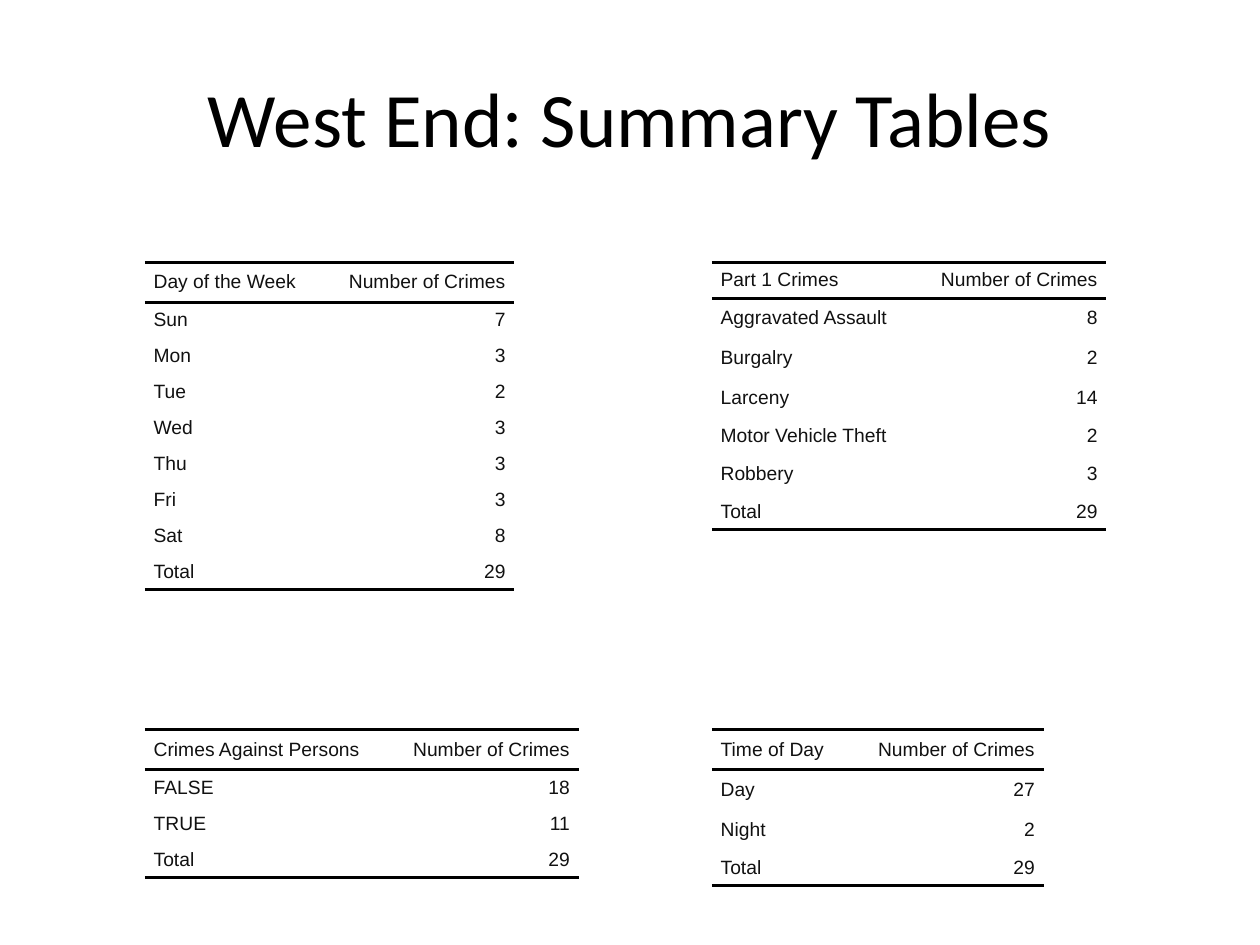
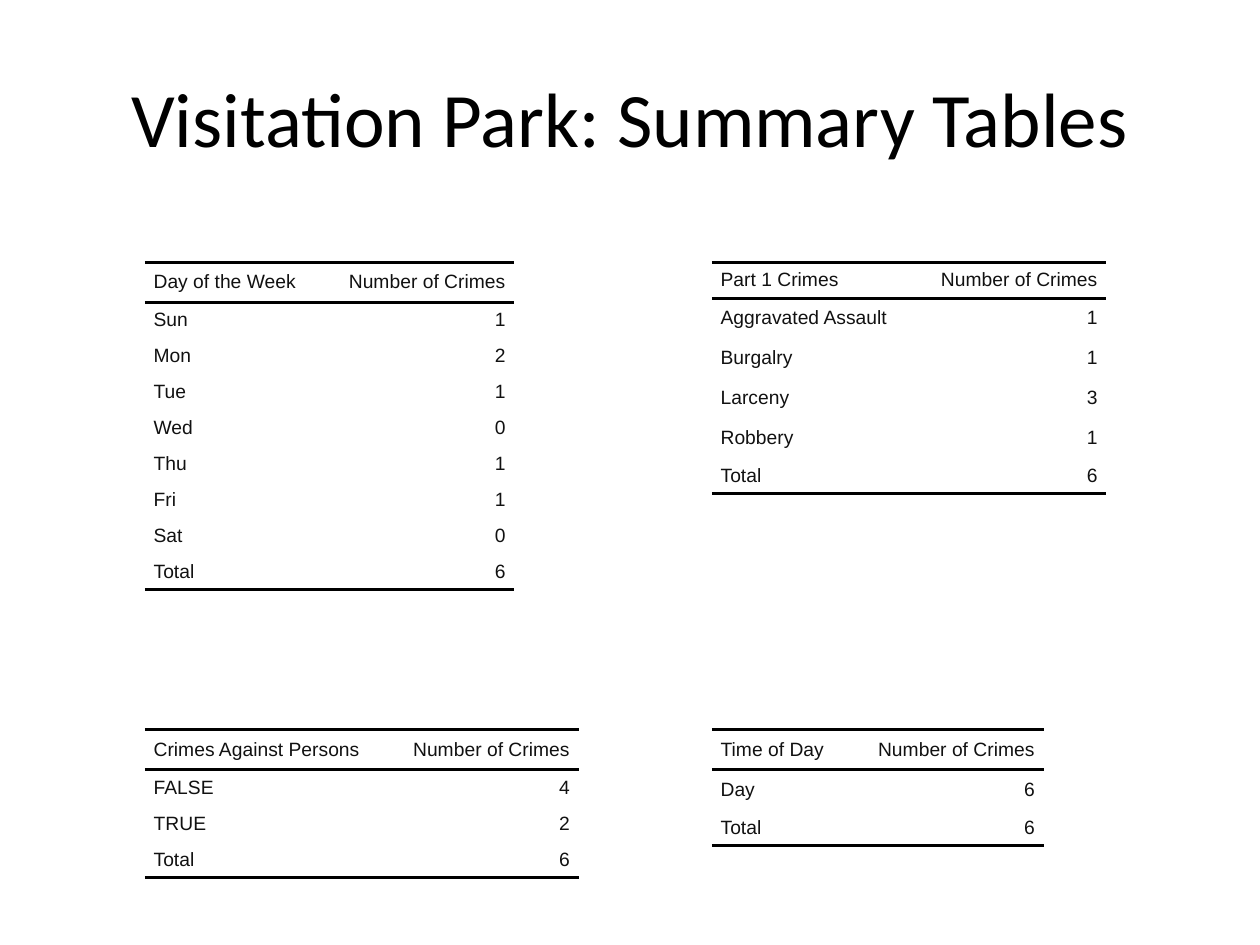
from dataclasses import dataclass

from lxml.etree import SubElement
from pptx import Presentation
from pptx.dml.color import RGBColor
from pptx.enum.text import MSO_ANCHOR, PP_ALIGN
from pptx.oxml.ns import qn
from pptx.util import Pt


@dataclass(frozen=True)
class Theme:
    title_font: str = "Calibri"
    table_font: str = "Arial"
    title_size: float = 44
    table_size: float = 11
    title_color: str = "000000"
    table_color: str = "111111"
    rule_color: str = "000000"
    rule_width: float = 2
    short_row: float = 20.57
    tall_row: float = 22.86
    value_width: float = 109.44
    cell_margin: float = 5


THEME = Theme()
TITLE_BOX = (36, 21.6, 648, 90)
LEFT, RIGHT = 82.8, 406.8
UPPER, LOWER = 149.76, 416.88
VALUE_HEADING = "Number of Crimes"
TABLE_PLACES = {
    "Part 1 Crimes": (RIGHT, UPPER, 116),
    "Day of the Week": (LEFT, UPPER, 101.7),
    "Crimes Against Persons": (LEFT, LOWER, 138.4),
    "Time of Day": (RIGHT, LOWER, 80.1),
}
TALL_ROWS = {
    "Day of the Week", "Crimes Against Persons", "Time of Day",
    "Aggravated Assault", "Burgalry", "Larceny", "Robbery", "Day", "Night",
}
WEEKDAYS = ("Sun", "Mon", "Tue", "Wed", "Thu", "Fri", "Sat")
DISTRICTS = {
    "West End": {
        "Part 1 Crimes": {
            "Aggravated Assault": 8, "Burgalry": 2, "Larceny": 14,
            "Motor Vehicle Theft": 2, "Robbery": 3,
        },
        "Day of the Week": dict(zip(WEEKDAYS, (7, 3, 2, 3, 3, 3, 8))),
        "Crimes Against Persons": {"FALSE": 18, "TRUE": 11},
        "Time of Day": {"Day": 27, "Night": 2},
    },
    "Visitation Park": {
        "Part 1 Crimes": {
            "Aggravated Assault": 1, "Burgalry": 1, "Larceny": 3, "Robbery": 1,
        },
        "Day of the Week": dict(zip(WEEKDAYS, (1, 2, 1, 0, 1, 1, 0))),
        "Crimes Against Persons": {"FALSE": 4, "TRUE": 2},
        "Time of Day": {"Day": 6},
    },
}


def apply_format(target, values):
    for name, value in values.items():
        setattr(target, name, value)


def write_text(frame, text, align, font, size, color):
    para = frame.paragraphs[0]
    para.alignment = align
    span = para.add_run()
    span.text = text
    apply_format(span.font, {"name": font, "size": Pt(size), "bold": False})
    span.font.color.rgb = RGBColor.from_string(color)


def add_title(page, box, text):
    frame = page.shapes.add_textbox(*map(Pt, box)).text_frame
    apply_format(frame, {"word_wrap": True, "vertical_anchor": MSO_ANCHOR.MIDDLE})
    write_text(frame, text, PP_ALIGN.CENTER, THEME.title_font,
               THEME.title_size, THEME.title_color)


def set_borders(cell, ruled_edges):
    properties = cell._tc.get_or_add_tcPr()
    for position, edge in enumerate(("lnL", "lnR", "lnT", "lnB")):
        line = SubElement(properties, qn(f"a:{edge}"))
        properties.insert(position, line)
        if edge in ruled_edges:
            line.set("w", str(Pt(THEME.rule_width)))
            fill = SubElement(line, qn("a:solidFill"))
            SubElement(fill, qn("a:srgbClr"), val=THEME.rule_color)
        else:
            SubElement(line, qn("a:noFill"))


def fill_cell(cell, text, align, ruled_edges):
    apply_format(cell, {
        "margin_left": Pt(THEME.cell_margin),
        "margin_right": Pt(THEME.cell_margin),
        "margin_top": 0,
        "margin_bottom": 0,
        "vertical_anchor": MSO_ANCHOR.MIDDLE,
    })
    cell.fill.background()
    set_borders(cell, ruled_edges)
    write_text(cell.text_frame, text, align, THEME.table_font,
               THEME.table_size, THEME.table_color)


def add_summary_table(page, place, heading, counts):
    left, top, label_width = place
    rows = [(heading, VALUE_HEADING), *counts.items(), ("Total", sum(counts.values()))]
    heights = [THEME.tall_row if label in TALL_ROWS else THEME.short_row
               for label, _ in rows]
    widths = (label_width, THEME.value_width)
    box = (left, top, sum(widths), sum(heights))
    table = page.shapes.add_table(len(rows), 2, *map(Pt, box)).table
    apply_format(table, {"first_row": False, "horz_banding": False})
    for column, width in zip(table.columns, widths):
        column.width = Pt(width)
    ruled_levels = {0, 1, len(rows)}
    for index, (row, height) in enumerate(zip(rows, heights)):
        table.rows[index].height = Pt(height)
        ruled_edges = {edge for edge, level in (("lnT", index), ("lnB", index + 1))
                       if level in ruled_levels}
        for column, align in enumerate((PP_ALIGN.LEFT, PP_ALIGN.RIGHT)):
            fill_cell(table.cell(index, column), str(row[column]), align, ruled_edges)


def add_summary_page(deck, district, tables):
    page = deck.slides.add_slide(deck.slide_layouts[6])
    add_title(page, TITLE_BOX, f"{district}: Summary Tables")
    for heading, counts in tables.items():
        add_summary_table(page, TABLE_PLACES[heading], heading, counts)


def main():
    deck = Presentation()
    apply_format(deck, {"slide_width": Pt(720), "slide_height": Pt(540)})
    for district, tables in DISTRICTS.items():
        add_summary_page(deck, district, tables)
    deck.save("out.pptx")


if __name__ == "__main__":
    main()
